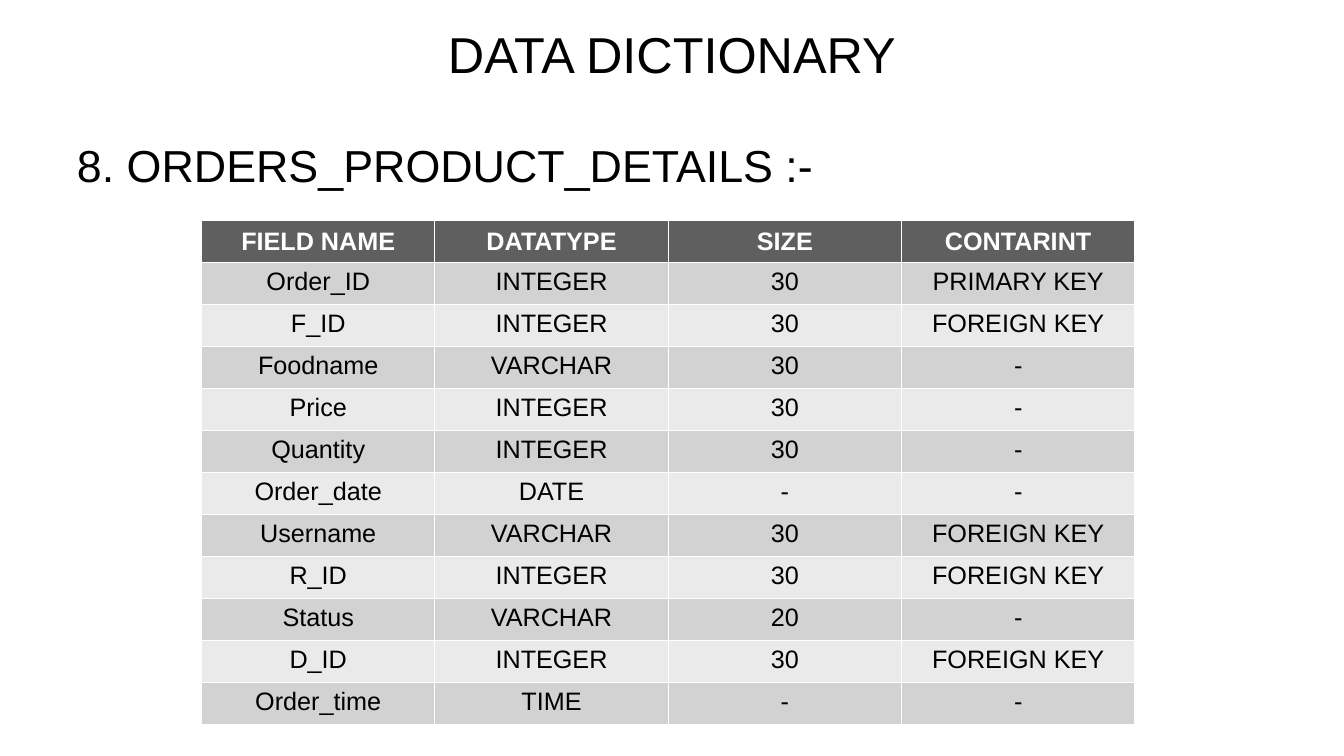
from dataclasses import dataclass

from pptx import Presentation
from pptx.dml.color import RGBColor
from pptx.enum.text import MSO_ANCHOR as Anchor, PP_ALIGN as Align
from pptx.util import Cm, Pt


@dataclass(frozen=True)
class Theme:
    """Colours, font and type sizes of the slide."""
    font: str = "Arial"
    ink: str = "000000"
    header_ink: str = "FFFFFF"
    header_fill: str = "5F5F5F"
    bands: tuple = ("D2D2D2", "EAEAEA")
    title_size: int = 36
    heading_size: int = 32
    table_size: int = 18


THEME = Theme()
HEADER = ("FIELD NAME", "DATATYPE", "SIZE", "CONTARINT")
FIELDS = (
    ("Order_ID", "INTEGER", "30", "PRIMARY KEY"),
    ("F_ID", "INTEGER", "30", "FOREIGN KEY"),
    ("Foodname", "VARCHAR", "30", "-"),
    ("Price", "INTEGER", "30", "-"),
    ("Quantity", "INTEGER", "30", "-"),
    ("Order_date", "DATE", "-", "-"),
    ("Username", "VARCHAR", "30", "FOREIGN KEY"),
    ("R_ID", "INTEGER", "30", "FOREIGN KEY"),
    ("Status", "VARCHAR", "20", "-"),
    ("D_ID", "INTEGER", "30", "FOREIGN KEY"),
    ("Order_time", "TIME", "-", "-"),
)


def write(tf, text, size, color, align, bold=False):
    """Put one formatted paragraph into a text frame."""
    p = tf.paragraphs[0]
    p.text = text
    p.alignment = align
    p.font.name = THEME.font
    p.font.size = Pt(size)
    p.font.bold = bold
    p.font.color.rgb = RGBColor.from_string(color)


def add_title(slide, text, left, top, width, height):
    """Place and format the title placeholder in the given box."""
    sp = slide.shapes.title
    sp.left, sp.top, sp.width, sp.height = left, top, width, height
    sp.text_frame.vertical_anchor = Anchor.MIDDLE
    write(sp.text_frame, text, THEME.title_size, THEME.ink, Align.CENTER)


def add_heading(slide, text, left, top, width, height):
    """Add the heading that names the described table."""
    tf = slide.shapes.add_textbox(left, top, width, height).text_frame
    tf.word_wrap = True
    write(tf, text, THEME.heading_size, THEME.ink, Align.LEFT)


def add_field_table(slide, header, fields, left, top, width, height):
    """Add the field table with a dark header and banded rows."""
    rows = (header, *fields)
    table = slide.shapes.add_table(
        len(rows), len(header), left, top, width, height).table
    for i, row in enumerate(rows):
        is_header = i == 0
        fill = THEME.header_fill if is_header else THEME.bands[(i - 1) % 2]
        ink = THEME.header_ink if is_header else THEME.ink
        for j, text in enumerate(row):
            cell = table.cell(i, j)
            cell.fill.solid()
            cell.fill.fore_color.rgb = RGBColor.from_string(fill)
            cell.vertical_anchor = Anchor.MIDDLE if is_header else Anchor.TOP
            write(cell.text_frame, text, THEME.table_size, ink,
                  Align.CENTER, is_header)


def build_dictionary_slide(prs):
    """Build the data dictionary slide."""
    slide = prs.slides.add_slide(prs.slide_layouts.get_by_name("Title Only"))
    margin = Cm(1.69)
    width = prs.slide_width - 2 * margin
    add_title(slide, "DATA DICTIONARY", margin, Cm(0.53), width, Cm(1.63))
    add_heading(slide, "8. ORDERS_PRODUCT_DETAILS :-",
                margin, Cm(3.35), width, Cm(13.67))
    add_field_table(slide, HEADER, FIELDS,
                    Cm(5.08), Cm(5.56), Cm(23.52), Cm(12.7))


def main():
    """Create and save the presentation."""
    prs = Presentation()
    prs.slide_width, prs.slide_height = Cm(33.87), Cm(19.05)
    build_dictionary_slide(prs)
    prs.save("out.pptx")


if __name__ == "__main__":
    main()
